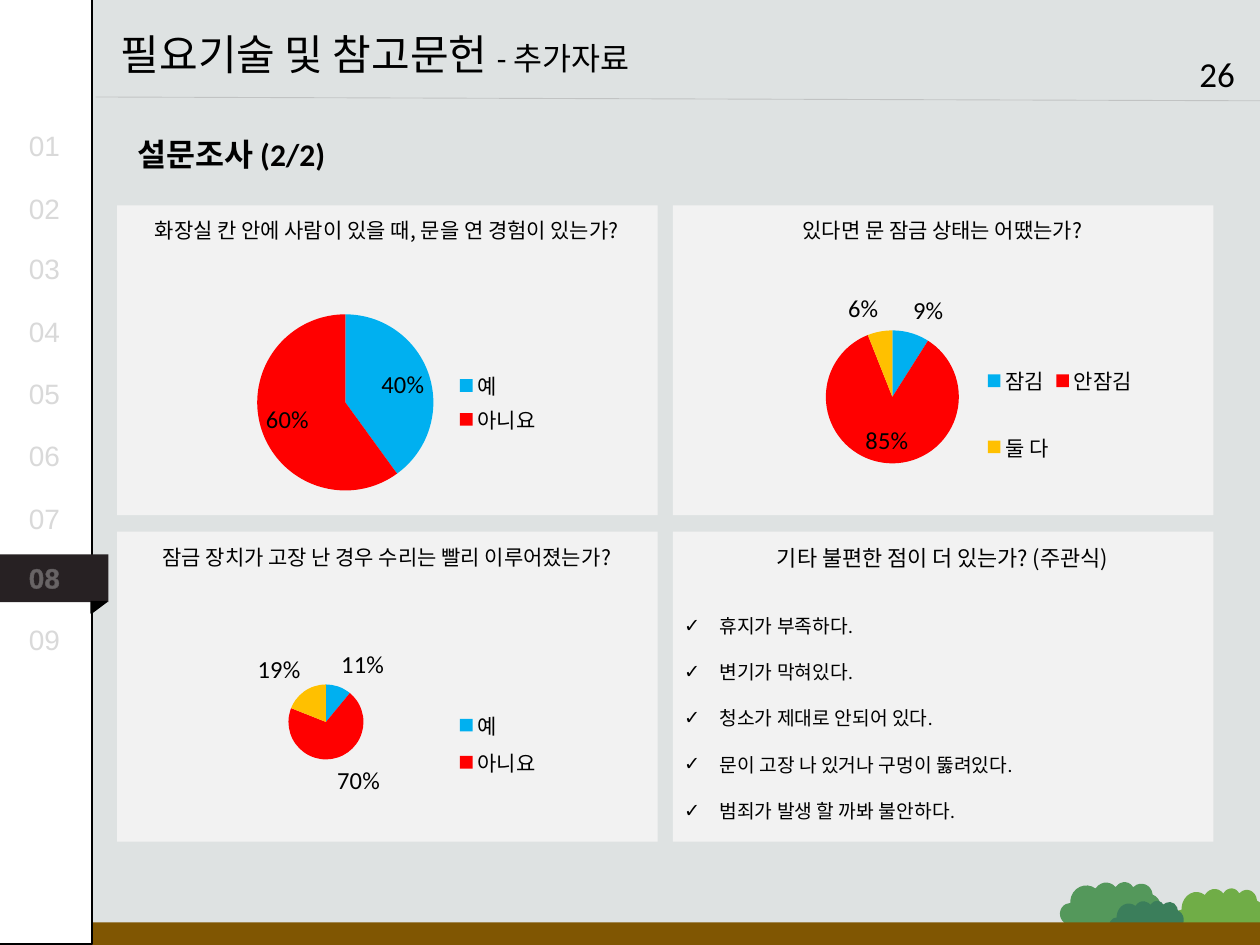
"""Build the second survey results slide with three pie charts and a comment list."""
from dataclasses import dataclass
from typing import Optional

from lxml.etree import SubElement
from pptx import Presentation
from pptx.chart.data import CategoryChartData
from pptx.dml.color import RGBColor
from pptx.enum.chart import XL_CHART_TYPE, XL_LABEL_POSITION, XL_LEGEND_POSITION
from pptx.enum.shapes import MSO_CONNECTOR, MSO_SHAPE
from pptx.enum.text import MSO_ANCHOR, MSO_AUTO_SIZE, PP_ALIGN
from pptx.oxml import parse_xml
from pptx.oxml.ns import nsdecls, qn
from pptx.util import Pt

EMU_PER_PX = 9144
COLORS = {
    "background": "DEE2E2", "card": "F2F2F2", "text": "000000", "white": "FFFFFF",
    "yes": "00B0F0", "no": "FF0000", "other": "FFC000", "rule": "A6A6A6",
    "light_bush": "70AD47", "bush": "54985B", "dark_bush": "3B7E5B",
    "ground": "805602", "active_tab": "272123", "muted": "D9D9D9",
}
SLICE_COLORS = ("yes", "no", "other")
CARD_WIDTH, CARD_HEIGHT = 429, 246


@dataclass(frozen=True)
class Box:
    left: int
    top: int
    width: int
    height: int

    def emu(self) -> tuple:
        return tuple(value * EMU_PER_PX for value in (self.left, self.top, self.width, self.height))


@dataclass(frozen=True)
class Pie:
    frame: Box
    plot: Box
    legend: Box
    answers: dict


@dataclass(frozen=True)
class Card:
    left: int
    top: int
    question: str
    size: float = 12
    pie: Optional[Pie] = None


CARDS = (
    Card(93, 163, "화장실 칸 안에 사람이 있을 때, 문을 연 경험이 있는가?", pie=Pie(
        Box(136, 211, 341, 192), Box(204, 249, 140, 140), Box(358, 291, 75, 55),
        {"예": 40, "아니요": 60})),
    Card(534, 163, "있다면 문 잠금 상태는 어땠는가?", pie=Pie(
        Box(577, 220, 341, 192), Box(656, 263, 105, 105), Box(777, 263, 125, 133),
        {"잠김": 9, "안잠김": 85, "둘 다": 6})),
    Card(93, 422, "잠금 장치가 고장 난 경우 수리는 빨리 이루어졌는가?", pie=Pie(
        Box(136, 478, 341, 192), Box(228, 544, 60, 60), Box(358, 559, 75, 63),
        {"예": 11, "아니요": 70, "": 19})),
    Card(534, 422, "기타 불편한 점이 더 있는가? (주관식)", 12.5),
)
COMMENTS = (
    "휴지가 부족하다.", "변기가 막혀있다.", "청소가 제대로 안되어 있다.",
    "문이 고장 나 있거나 구멍이 뚫려있다.", "범죄가 발생 할 까봐 불안하다.",
)
TAB_TOPS = (97, 147, 195, 245, 294, 343, 393, 440, 489)
ACTIVE_TAB = 8


def rgb(name: str) -> RGBColor:
    return RGBColor.from_string(COLORS[name])


def style_font(font, size: float, color: str = "text", name: str = "Calibri", bold: bool = False) -> None:
    font.size, font.name, font.bold = Pt(size), name, bold
    font.color.rgb = rgb(color)


def place(shape, box: Box) -> None:
    shape.left, shape.top, shape.width, shape.height = box.emu()


def add_filled(slide, kind, box: Box, fill: str, line: Optional[str] = None, rotation: float = 0):
    shape = slide.shapes.add_shape(kind, *box.emu())
    shape.shadow.inherit = False
    shape.rotation = rotation
    shape.fill.solid()
    shape.fill.fore_color.rgb = rgb(fill)
    if line:
        shape.line.color.rgb = rgb(line)
        shape.line.width = Pt(1)
    else:
        shape.line.fill.background()
    return shape


def add_text(slide, box: Box, text: str, size: float, wrap: bool = True, align=PP_ALIGN.LEFT, **font_options):
    text_box = slide.shapes.add_textbox(*box.emu())
    text_box.text_frame.word_wrap = wrap
    paragraph = text_box.text_frame.paragraphs[0]
    paragraph.text = text
    paragraph.alignment = align
    style_font(paragraph.font, size, **font_options)
    return paragraph


def add_layout(parent, frame: Box, box: Box, inner: bool = False) -> None:
    for old in parent.findall(qn("c:layout")):
        parent.remove(old)
    layout = parse_xml(f"<c:layout {nsdecls('c')}><c:manualLayout/></c:layout>")
    fractions = {
        "x": (box.left - frame.left) / frame.width, "y": (box.top - frame.top) / frame.height,
        "w": box.width / frame.width, "h": box.height / frame.height,
    }
    settings = {"layoutTarget": "inner"} if inner else {}
    settings |= {"xMode": "edge", "yMode": "edge"}
    settings |= {key: f"{value:.2f}" for key, value in fractions.items()}
    for key, value in settings.items():
        SubElement(layout[0], qn(f"c:{key}")).set("val", value)
    parent.insert(0 if inner else 1, layout)


def add_pie(slide, pie: Pie) -> None:
    data = CategoryChartData()
    data.categories = list(pie.answers)
    data.add_series("Series 1", list(pie.answers.values()))
    chart = slide.shapes.add_chart(XL_CHART_TYPE.PIE, *pie.frame.emu(), data).chart
    chart.has_title = False
    style_font(chart.font, 18)
    plot = chart.plots[0]
    plot.vary_by_categories = True
    for index, color in enumerate(SLICE_COLORS[:len(pie.answers)]):
        fill = plot.series[0].points[index].format.fill
        fill.solid()
        fill.fore_color.rgb = rgb(color)
    labels = plot.series[0].data_labels
    labels.show_percentage, labels.show_value = True, False
    labels.position = XL_LABEL_POSITION.BEST_FIT
    style_font(labels.font, 14)
    chart.has_legend = True
    legend = chart.legend
    legend.position = XL_LEGEND_POSITION.RIGHT
    legend.include_in_layout = False
    style_font(legend.font, 12)
    legend_element = chart.element.find(".//" + qn("c:legend"))
    add_layout(legend_element, pie.frame, pie.legend)
    for index, answer in enumerate(pie.answers):
        if not answer:
            legend_element.insert(1, parse_xml(
                f'<c:legendEntry {nsdecls("c")}><c:idx val="{index}"/><c:delete val="1"/></c:legendEntry>'))
    add_layout(chart.element.find(".//" + qn("c:plotArea")), pie.frame, pie.plot, inner=True)


def add_card(slide, card: Card) -> None:
    add_filled(slide, MSO_SHAPE.RECTANGLE, Box(card.left, card.top, CARD_WIDTH, CARD_HEIGHT), "card")
    add_text(slide, Box(card.left - 1, card.top + 5, 430, 30), card.question, card.size,
             align=PP_ALIGN.CENTER, name="Noto Sans CJK KR")
    if card.pie:
        add_pie(slide, card.pie)


def fill_title(title) -> None:
    place(title, Box(86, 18, 499, 50))
    frame = title.text_frame
    frame.auto_size, frame.vertical_anchor = MSO_AUTO_SIZE.NONE, MSO_ANCHOR.TOP
    paragraph = frame.paragraphs[0]
    paragraph.alignment = PP_ALIGN.LEFT
    for text, size in (("필요기술 및 참고문헌 ", 24), ("- 추가자료", 18)):
        run = paragraph.add_run()
        run.text = text
        style_font(run.font, size)


def fill_comments(body) -> None:
    place(body, Box(533, 464, 430, 195))
    body.element.getparent().append(body.element)
    frame = body.text_frame
    frame.auto_size, frame.vertical_anchor = MSO_AUTO_SIZE.NONE, MSO_ANCHOR.TOP
    frame.text = "\n".join(COMMENTS)
    for paragraph in frame.paragraphs:
        properties = paragraph._p.get_or_add_pPr()
        properties.set("marL", str(28 * EMU_PER_PX))
        properties.set("indent", str(-28 * EMU_PER_PX))
        SubElement(properties, qn("a:buChar")).set("char", "✓")
        paragraph.line_spacing, paragraph.space_before = 2.0, Pt(0)
        style_font(paragraph.font, 11)


def add_tab_number(slide, number: int, top: int) -> None:
    active = number == ACTIVE_TAB
    paragraph = add_text(slide, Box(13, top, 59 if active else 49, 37), f"{number:02d}", 16,
                         color="white" if active else "muted", name="Arial", bold=active)
    outline = COLORS["muted" if active else "text"]
    paragraph.runs[0]._r.get_or_add_rPr().insert(0, parse_xml(
        f'<a:ln {nsdecls("a")} w="9525"><a:solidFill><a:srgbClr val="{outline}">'
        '<a:alpha val="30000"/></a:srgbClr></a:solidFill></a:ln>'))


def add_header_rule(slide) -> None:
    ends = (value * EMU_PER_PX for value in (1000, 80, 76, 77))
    rule = slide.shapes.add_connector(MSO_CONNECTOR.STRAIGHT, *ends)
    rule.line.color.rgb = rgb("rule")
    rule.line.width = Pt(0.5)
    properties = rule.element.spPr
    SubElement(properties.find(".//" + qn("a:srgbClr")), qn("a:alpha")).set("val", "50000")
    SubElement(properties, qn("a:effectLst"))


def main() -> None:
    presentation = Presentation()
    presentation.slide_width, presentation.slide_height = 1000 * EMU_PER_PX, 750 * EMU_PER_PX
    slide = presentation.slides.add_slide(presentation.slide_layouts[1])
    slide.background.fill.solid()
    slide.background.fill.fore_color.rgb = rgb("background")
    fill_title(slide.shapes.title)
    add_header_rule(slide)
    add_text(slide, Box(99, 102, 179, 40), "설문조사 (2/2)", 18, wrap=False, bold=True)
    for card in CARDS:
        add_card(slide, card)
    fill_comments(slide.placeholders[1])
    for box, color in ((Box(930, 704, 74, 62), "light_bush"), (Box(841, 699, 81, 62), "bush"),
                       (Box(880, 714, 60, 49), "dark_bush")):
        add_filled(slide, MSO_SHAPE.CLOUD, box, color, rotation=5.4)
    add_filled(slide, MSO_SHAPE.RECTANGLE, Box(0, 732, 1000, 18), "ground")
    add_text(slide, Box(942, 37, 54, 44), "26", 20)
    add_filled(slide, MSO_SHAPE.RECTANGLE, Box(-4, -1, 77, 750), "white", "text")
    add_filled(slide, MSO_SHAPE.RECTANGLE, Box(-5, 440, 91, 38), "active_tab")
    add_filled(slide, MSO_SHAPE.RIGHT_TRIANGLE, Box(74, 476, 9, 12), "text", "text", 90)
    for number, top in enumerate(TAB_TOPS, start=1):
        add_tab_number(slide, number, top)
    presentation.save("out.pptx")


if __name__ == "__main__":
    main()
